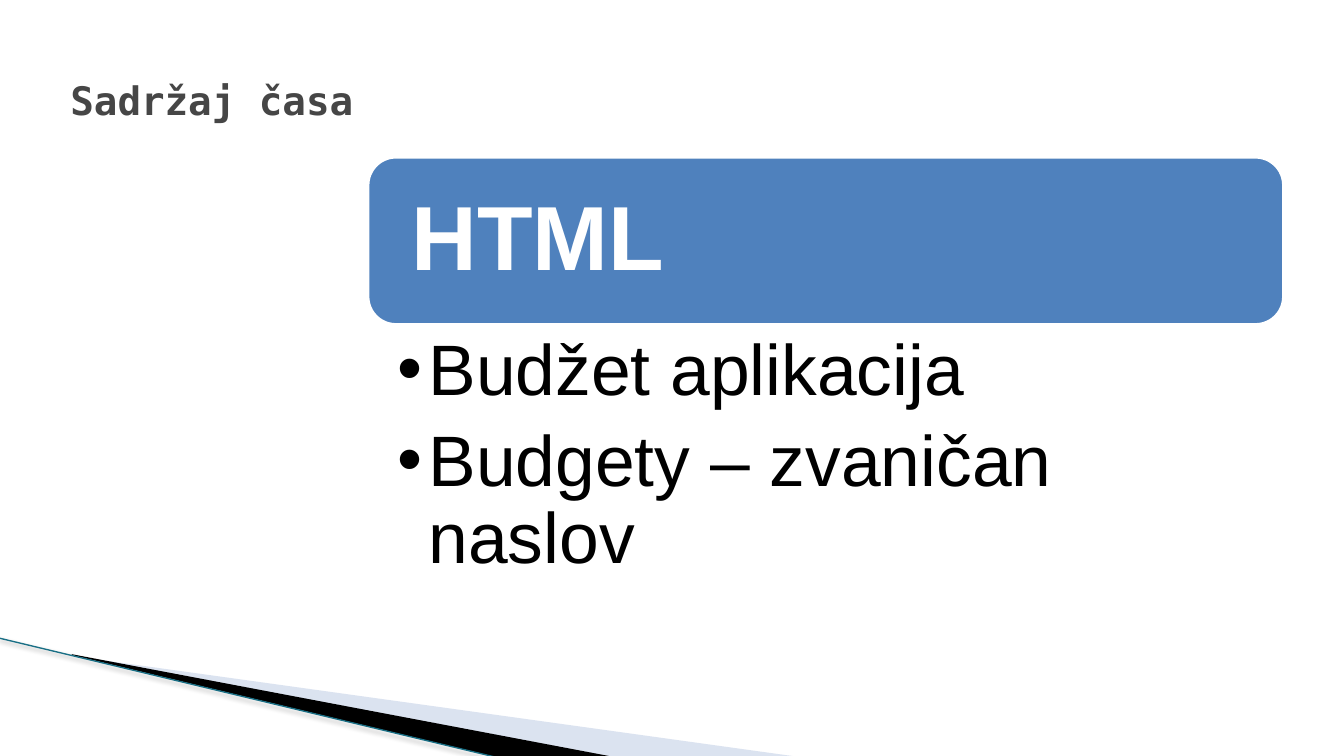
from lxml import etree
from pptx import Presentation
from pptx.dml.color import RGBColor
from pptx.enum.shapes import MSO_CONNECTOR, MSO_SHAPE
from pptx.enum.text import MSO_ANCHOR, PP_ALIGN
from pptx.oxml.ns import qn
from pptx.util import Inches, Pt

STRAIGHT = MSO_CONNECTOR.STRAIGHT
ROUNDED = MSO_SHAPE.ROUNDED_RECTANGLE
MIDDLE = MSO_ANCHOR.MIDDLE
TOP = MSO_ANCHOR.TOP
LEFT = PP_ALIGN.LEFT

WHITE = RGBColor(0xFF, 0xFF, 0xFF)
BLACK = RGBColor(0x00, 0x00, 0x00)
GREY = RGBColor(0x46, 0x46, 0x46)
BLUE = RGBColor(0x4F, 0x81, 0xBD)
PALE_BLUE = RGBColor(0xA7, 0xB9, 0xDB)
TEAL = RGBColor(0x19, 0x6F, 0x85)

TITLE_FONT = {"name": "DejaVu Sans Mono", "size": Pt(28), "bold": True}
HEADING_FONT = {"name": "Arial", "size": Pt(65), "bold": True}
BULLET_FONT = {"name": "Arial", "size": Pt(51), "bold": False}


def set_attributes(target, values):
    for name, value in values.items():
        setattr(target, name, value)


def add_element(parent, tag, **attributes):
    element = etree.SubElement(parent, qn(tag))
    for name, value in attributes.items():
        element.set(name, str(value))
    return element


class SlideBuilder:
    def __init__(self, slide):
        self.shapes = slide.shapes

    def wedge(self, points, color, opacity=100):
        start, *others = [(Inches(x), Inches(y)) for x, y in points]
        builder = self.shapes.build_freeform(*start, scale=1.0)
        builder.add_line_segments(others, close=True)
        shape = builder.convert_to_shape()
        shape.shadow.inherit = False
        shape.line.fill.background()
        shape.fill.solid()
        shape.fill.fore_color.rgb = color
        if opacity < 100:
            color_element = shape._element.spPr.find(qn("a:solidFill"))[0]
            add_element(color_element, "a:alpha", val=opacity * 1000)

    def shadowed_line(self, start, end, color, width):
        line = self.shapes.add_connector(
            STRAIGHT, *[Inches(value) for value in (*start, *end)])
        line.line.color.rgb = color
        line.line.width = Pt(width)
        effects = add_element(line._element.spPr, "a:effectLst")
        shadow = add_element(effects, "a:outerShdw", blurRad=Pt(3.1), dist=Pt(1.6),
                             dir=90 * 60000, algn="tl", rotWithShape=0)
        shadow_color = add_element(shadow, "a:srgbClr", val=BLACK)
        add_element(shadow_color, "a:alpha", val=38000)

    def add_lines(self, shape, lines, font, color, anchor=MIDDLE,
                  insets=(0.1, 0.05, 0.1, 0.05), spacing=1.0, bulleted=False):
        frame = shape.text_frame
        sides = ("margin_left", "margin_top", "margin_right", "margin_bottom")
        set_attributes(frame, dict(zip(sides, map(Inches, insets))))
        set_attributes(frame, {"word_wrap": True, "vertical_anchor": anchor})
        for index, text in enumerate(lines):
            paragraph = frame.add_paragraph() if index else frame.paragraphs[0]
            set_attributes(paragraph, {"alignment": LEFT, "line_spacing": spacing})
            if bulleted:
                set_attributes(paragraph, {"level": 1, "space_after": Pt(10)})
                properties = paragraph._p.get_or_add_pPr()
                properties.set("marL", str(Inches(0.31)))
                properties.set("indent", str(-Inches(0.31)))
                add_element(properties, "a:buFont", typeface="Arial")
                add_element(properties, "a:buChar", char="•")
            run = paragraph.add_run()
            run.text = text
            set_attributes(run.font, font)
            run.font.color.rgb = color

    def text(self, box, lines, font, color, **layout):
        shape = self.shapes.add_textbox(*map(Inches, box))
        self.add_lines(shape, lines, font, color, **layout)

    def banner(self, box, text, font, color, fill, **layout):
        shape = self.shapes.add_shape(ROUNDED, *map(Inches, box))
        shape.shadow.inherit = False
        shape.fill.solid()
        shape.fill.fore_color.rgb = fill
        shape.line.color.rgb = WHITE
        shape.line.width = Pt(2)
        self.add_lines(shape, [text], font, color, **layout)


def main():
    presentation = Presentation()
    presentation.slide_width = Inches(13.33)
    presentation.slide_height = Inches(7.5)
    slide = presentation.slides.add_slide(presentation.slide_layouts[6])
    builder = SlideBuilder(slide)

    builder.wedge([(0.73, 6.51), (7.93, 7.51), (6.08, 7.51), (0.73, 6.5)],
                  PALE_BLUE, opacity=40)
    builder.wedge([(0.71, 6.49), (6.09, 7.51), (4.96, 7.52), (0.72, 6.5)], BLACK)
    builder.shadowed_line((-0.01, 6.33), (4.95, 7.52), TEAL, 0.96)

    builder.text((0.6, 0.27, 11.41, 1.45), ["Sadržaj časa"], TITLE_FONT, GREY)
    builder.banner((3.65, 1.56, 9.08, 1.66), "HTML", HEADING_FONT, WHITE, BLUE,
                   insets=(0.35, 0.35, 0.35, 0.35), spacing=0.9)
    builder.text((3.65, 3.22, 9.08, 2.58),
                 ["Budžet aplikacija", "Budgety – zvaničan naslov"],
                 BULLET_FONT, BLACK, anchor=TOP,
                 insets=(0.29, 0.09, 0.51, 0.09), spacing=0.9, bulleted=True)
    presentation.save("out.pptx")


if __name__ == "__main__":
    main()
